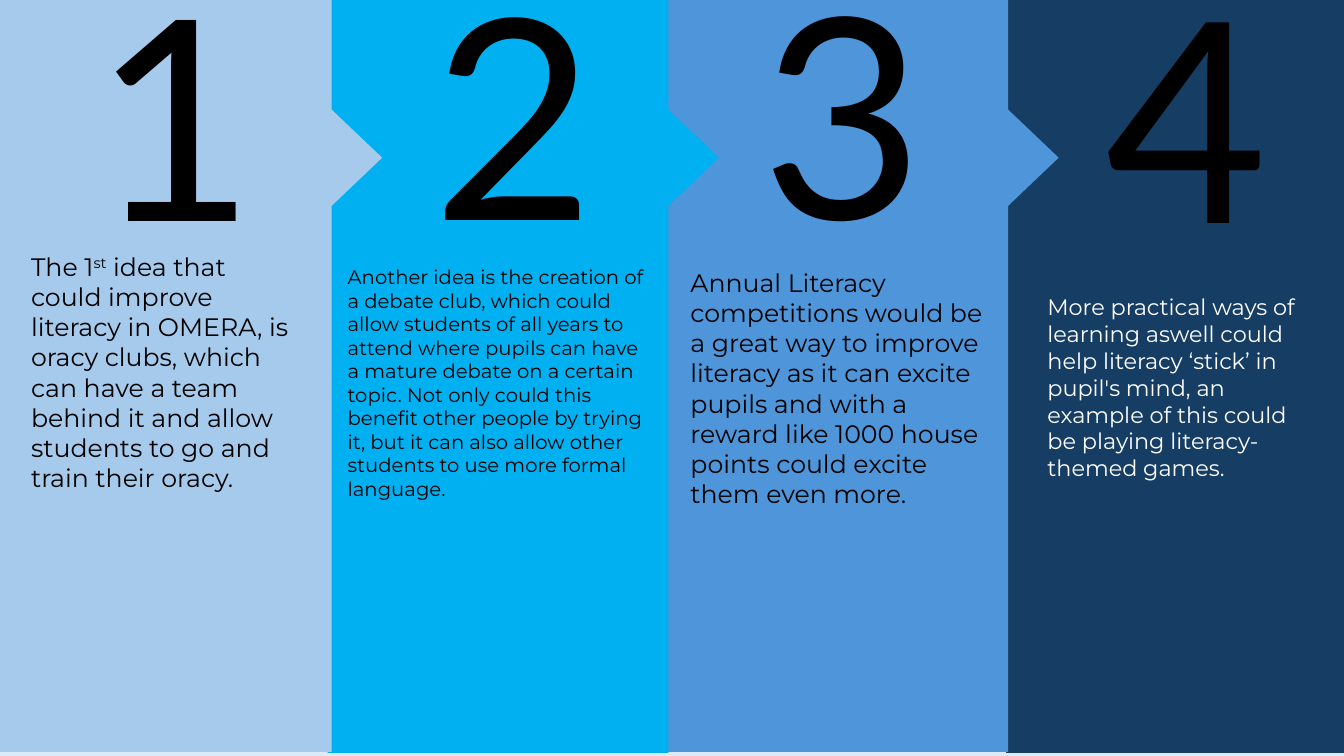
import pptx
import pptx.util
from pptx.dml.color import RGBColor
from pptx.enum.shapes import MSO_SHAPE
from pptx.enum.text import MSO_AUTO_SIZE
from pptx.util import Inches

THEME = {
    "background": "DCEAF7", "black": "000000", "white": "FFFFFF",
    "navy": "163E64", "blue": "4E95D9", "cyan": "00B0F0", "pale": "A6CAEC",
    "number_font": "Lato", "body_font": "Montserrat",
    "number": 200, "large": 18, "medium": 16, "small": 14,
}
ARROW_WIDTH, ARROW_HEIGHT = 1.01, 0.53


def add_text(shapes, text, at, *, font, size, color):
    """Add a wrapped text box; text between ^ marks is superscript."""
    box = shapes.add_textbox(*(Inches(value) for value in at))
    box.text_frame.word_wrap = True
    box.text_frame.auto_size = MSO_AUTO_SIZE.SHAPE_TO_FIT_TEXT
    para = box.text_frame.paragraphs[0]
    for index, part in enumerate(text.split("^")):
        span = para.add_run()
        span.text = part
        span.font.name = THEME[font]
        span.font.size = pptx.util.Pt(THEME[size])
        span.font.color.rgb = RGBColor.from_string(THEME[color])
        if index % 2:
            span.font._element.set("baseline", "30000")


def add_block(shapes, kind, at, color):
    """Add a plain filled shape without outline or shadow."""
    block = shapes.add_shape(kind, *(Inches(value) for value in at))
    block.shadow.inherit = False
    block.fill.solid()
    block.fill.fore_color.rgb = RGBColor.from_string(THEME[color])
    block.line.fill.background()
    return block


# Deck and page
deck = pptx.Presentation()
deck.slide_width, deck.slide_height = Inches(13.33), Inches(7.5)
page = deck.slides.add_slide(deck.slide_layouts[6])
page.background.fill.solid()
page.background.fill.fore_color.rgb = RGBColor.from_string(THEME["background"])

# Ideas: number, panel (left, top, width), fill, number place, text place, size, colour, text
ideas = [
    ("1", (0, -0.04, 3.29), "pale", (0.83, -0.63), (0.21, 2.44, 2.8, 2.52), "large", "black",
     "The 1^st^ idea that could improve literacy in OMERA, is oracy clubs, which can "
     "have a team behind it and allow students to go and train their oracy."),
    ("2", (3.25, -0.03, 3.38), "cyan", (4.19, -0.64), (3.35, 2.58, 3.16, 2.46), "small", "black",
     "Another idea is the creation of a debate club, which could allow students of all "
     "years to attend where pupils can have a mature debate on a certain topic. Not only "
     "could this benefit other people by trying it, but it can also allow other students "
     "to use more formal language."),
    ("3", (6.62, -0.04, 3.38), "blue", (7.45, -0.65), (6.75, 2.6, 3.16, 2.52), "large", "black",
     "Annual Literacy competitions would be a great way to improve literacy as it can "
     "excite pupils and with a reward like 1000 house points could excite them even more."),
    ("4", (9.98, -0.03, 3.39), "navy", (10.87, -0.61), (10.29, 2.86, 2.68, 2.26), "medium", "white",
     "More practical ways of learning aswell could help literacy ‘stick’ in pupil's mind, "
     "an example of this could be playing literacy-themed games."),
]

# Panels run from right to left, so each arrow lies over its right neighbour
for number, (left, top, width), fill, number_at, text_at, size, color, text in reversed(ideas):
    shapes = page.shapes.add_group_shape().shapes
    add_block(shapes, MSO_SHAPE.RECTANGLE, (left, top, width, 7.5), fill)
    add_text(shapes, number, (*number_at, 2.27, 3.47),
             font="number_font", size="number", color="black")
    add_text(shapes, text, text_at, font="body_font", size=size, color=color)
    if number != "4":
        arrow_left = left + width - 0.27
        arrow = add_block(shapes, MSO_SHAPE.ISOSCELES_TRIANGLE,
                          (arrow_left, 1.3, ARROW_WIDTH, ARROW_HEIGHT), fill)
        arrow.rotation = 90

deck.save("out.pptx")
